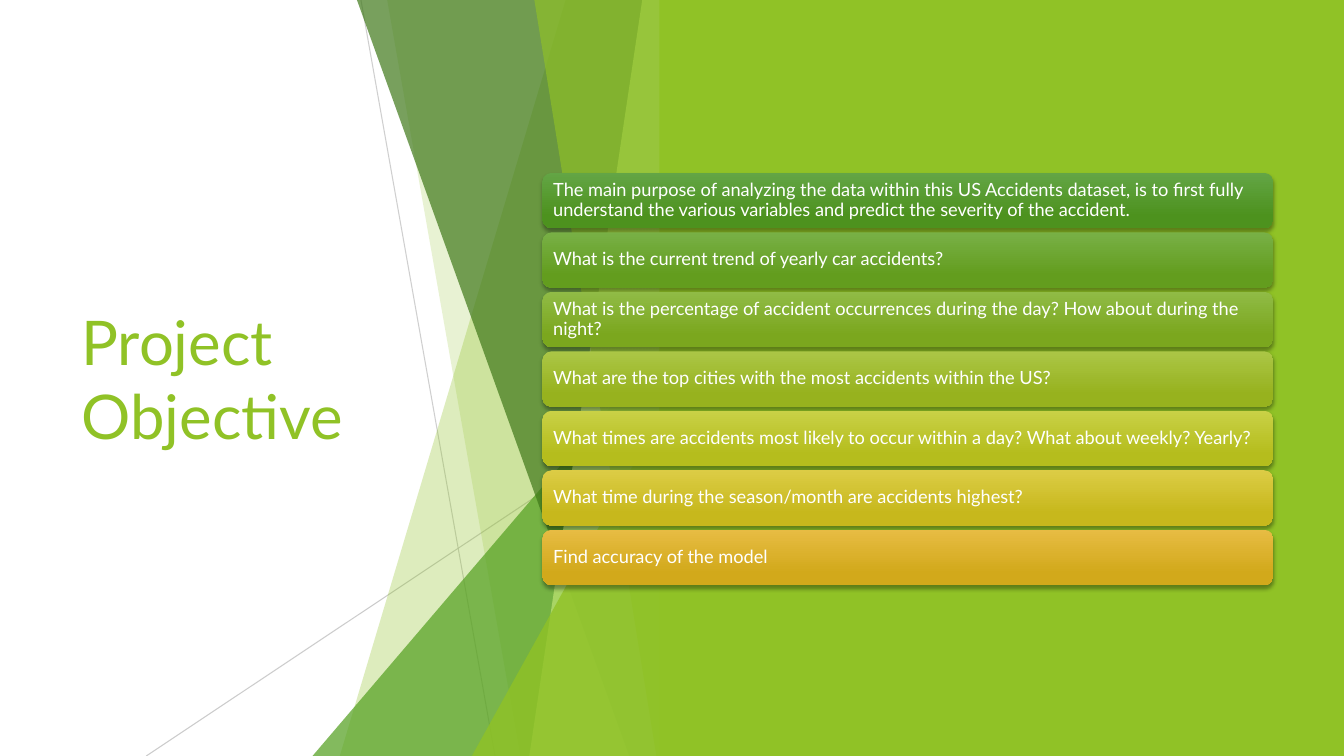
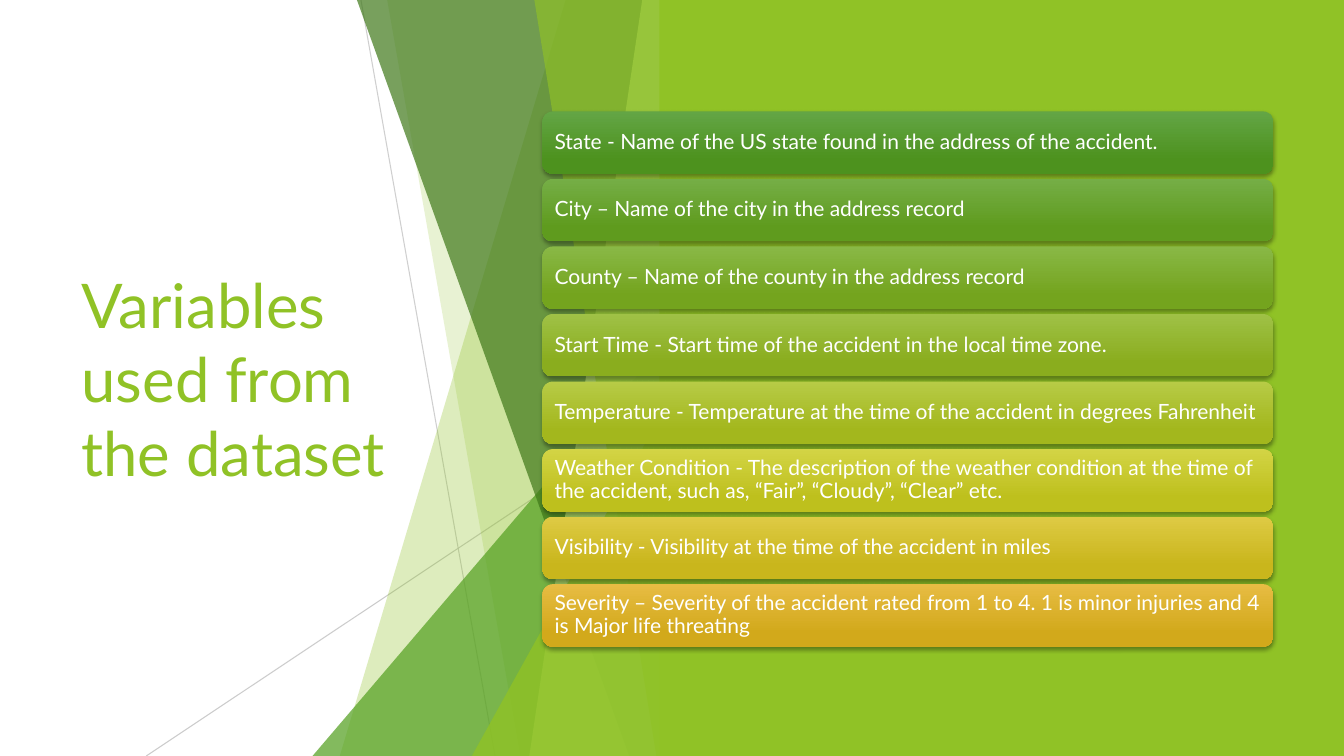
from colorsys import hsv_to_rgb, rgb_to_hsv
from dataclasses import dataclass

from lxml.etree import SubElement
from pptx import Presentation
from pptx.dml.color import RGBColor
from pptx.enum.shapes import MSO_CONNECTOR as Connector, MSO_SHAPE as Shape
from pptx.enum.text import MSO_ANCHOR as Anchor, PP_ALIGN as Align
from pptx.oxml.ns import qn
from pptx.util import Inches, Pt


@dataclass(frozen=True)
class Theme:
    font: str = "Lato"
    white: str = "FFFFFF"
    lime: str = "90C226"
    green: str = "54A021"
    forest: str = "3F7819"
    pale: str = "C0E474"
    rule: str = "BFBFBF"
    shadow: str = "000000"
    bar_tops: tuple = ("63A545", "E7BC43")
    bar_bottoms: tuple = ("4D921E", "D2A91B")
    title_size: float = 44
    rule_width: float = 0.75


WIDTH, HEIGHT = 13.33, 7.5
FACET_RIGHT = 6.66
PANEL_LEFT = 6.54
BAR_LEFT, BAR_WIDTH, BARS_MIDDLE = 5.38, 7.25, 3.76


def blend(ends, share):
    start, end = (rgb_to_hsv(*(part / 255 for part in RGBColor.from_string(color)))
                  for color in ends)
    mixed = (low + (high - low) * share for low, high in zip(start, end))
    return RGBColor(*(round(part * 255) for part in hsv_to_rgb(*mixed)))


class Deck:
    def __init__(self, theme):
        self.theme = theme
        self.presentation = Presentation()
        self.presentation.slide_width = Inches(WIDTH)
        self.presentation.slide_height = Inches(HEIGHT)
        self.slide = None

    def new_slide(self):
        blank = self.presentation.slide_layouts[6]
        self.slide = self.presentation.slides.add_slide(blank)

    def set_opacity(self, shape, percent):
        for color in shape._element.spPr.iter(qn("a:srgbClr")):
            SubElement(color, qn("a:alpha"), val=str(percent * 1000))

    def paint(self, shape, color, opacity):
        shape.shadow.inherit = False
        shape.fill.solid()
        shape.fill.fore_color.rgb = RGBColor.from_string(color)
        shape.line.fill.background()
        self.set_opacity(shape, opacity)

    def line(self, start, end, opacity):
        points = (Inches(value) for value in (*start, *end))
        line = self.slide.shapes.add_connector(Connector.STRAIGHT, *points)
        line.line.color.rgb = RGBColor.from_string(self.theme.rule)
        line.line.width = Pt(self.theme.rule_width)
        self.set_opacity(line, opacity)
        SubElement(line._element.spPr, qn("a:effectLst"))

    def facet(self, top_left, bottom_left, color, opacity):
        corners = [(top_left, 0), (FACET_RIGHT, 0),
                   (FACET_RIGHT, HEIGHT), (bottom_left, HEIGHT)]
        points = [(Inches(x), Inches(y)) for x, y in corners]
        builder = self.slide.shapes.build_freeform(*points[0])
        builder.add_line_segments(points[1:], close=True)
        self.paint(builder.convert_to_shape(), color, opacity)

    def triangle(self, left, top, color, opacity):
        shape = self.slide.shapes.add_shape(
            Shape.ISOSCELES_TRIANGLE, Inches(left), Inches(top),
            Inches(FACET_RIGHT - left), Inches(HEIGHT - top))
        shape.adjustments[0] = 1
        self.paint(shape, color, opacity)

    def panel(self):
        shape = self.slide.shapes.add_shape(
            Shape.RECTANGLE, Inches(PANEL_LEFT), Inches(0),
            Inches(WIDTH - PANEL_LEFT), Inches(HEIGHT))
        self.paint(shape, self.theme.lime, 100)

    def backdrop(self):
        theme = self.theme
        self.line((3.58, 0), (4.91, HEIGHT), 75)
        self.line((FACET_RIGHT, 4.03), (1.45, HEIGHT), 80)
        self.facet(5.61, 3.37, theme.lime, 30)
        self.facet(3.84, 5.16, theme.lime, 20)
        self.triangle(3.1, 3.33, theme.green, 72)
        self.facet(3.54, 6.24, theme.forest, 70)
        self.facet(6.37, 5.25, theme.pale, 70)
        self.facet(5.3, 6.51, theme.lime, 65)
        self.triangle(4.68, 3.93, theme.lime, 80)
        self.panel()

    def add_text(self, shape, text, size, color):
        frame = shape.text_frame
        frame.word_wrap = True
        frame.vertical_anchor = Anchor.MIDDLE
        paragraph = frame.paragraphs[0]
        paragraph.alignment = Align.LEFT
        run = paragraph.add_run()
        run.text = text
        run.font.name = self.theme.font
        run.font.size = Pt(size)
        run.font.color.rgb = RGBColor.from_string(color)
        return paragraph

    def title(self, text):
        box = self.slide.shapes.add_textbox(
            Inches(0.71), Inches(1.51), Inches(3.88), Inches(4.48))
        self.add_text(box, text, self.theme.title_size, self.theme.lime)

    def bar(self, text, top, height, size, inset, share):
        shape = self.slide.shapes.add_shape(
            Shape.ROUNDED_RECTANGLE, Inches(BAR_LEFT), Inches(top),
            Inches(BAR_WIDTH), Inches(height))
        shape.fill.gradient()
        shape.fill.gradient_angle = 270
        first, last = shape.fill.gradient_stops
        first.color.rgb = blend(self.theme.bar_tops, share)
        last.color.rgb = blend(self.theme.bar_bottoms, share)
        first.position, last.position = 0, 0.78
        shape.line.fill.background()
        self.drop_shadow(shape)
        frame = shape.text_frame
        frame.margin_left = frame.margin_right = Inches(inset)
        frame.margin_top = frame.margin_bottom = Inches(inset)
        paragraph = self.add_text(shape, text, size, self.theme.white)
        paragraph.line_spacing = 0.9

    def drop_shadow(self, shape):
        shape.shadow.inherit = False
        effects = shape._element.spPr.find(qn("a:effectLst"))
        shadow = SubElement(
            effects, qn("a:outerShdw"), blurRad=str(Pt(3)), dist=str(Pt(2)),
            dir="5400000", rotWithShape="0")
        color = SubElement(shadow, qn("a:srgbClr"), val=self.theme.shadow)
        SubElement(color, qn("a:alpha"), val="35000")

    def bars(self, texts, height, gap, size, inset):
        pitch = height + gap
        top = BARS_MIDDLE - (len(texts) * pitch - gap) / 2
        for index, text in enumerate(texts):
            share = index / (len(texts) - 1)
            self.bar(text, top + index * pitch, height, size, inset, share)

    def list_slide(self, title, texts, **bar_style):
        self.new_slide()
        self.title(title)
        self.backdrop()
        self.bars(texts, **bar_style)


OBJECTIVES = [
    "The main purpose of analyzing the data within this US Accidents dataset, "
    "is to first fully understand the various variables and predict the "
    "severity of the accident.",
    "What is the current trend of yearly car accidents?",
    "What is the percentage of accident occurrences during the day? "
    "How about during the night?",
    "What are the top cities with the most accidents within the US?",
    "What times are accidents most likely to occur within a day? "
    "What about weekly? Yearly?",
    "What time during the season/month are accidents highest?",
    "Find accuracy of the model",
]

VARIABLES = [
    "State - Name of the US state found in the address of the accident.",
    "City – Name of the city in the address record",
    "County – Name of the county in the address record",
    "Start Time - Start time of the accident in the local time zone.",
    "Temperature - Temperature at the time of the accident in degrees Fahrenheit",
    "Weather Condition - The description of the weather condition at the time "
    "of the accident, such as, “Fair”, “Cloudy”, “Clear” etc.",
    "Visibility - Visibility at the time of the accident in miles",
    "Severity – Severity of the accident rated from 1 to 4. "
    "1 is minor injuries and 4 is Major life threating",
]


def main():
    deck = Deck(Theme())
    deck.list_slide("Project Objective", OBJECTIVES,
                    height=0.55, gap=0.04, size=13, inset=0.08)
    deck.list_slide("Variables used from the dataset", VARIABLES,
                    height=0.62, gap=0.05, size=15, inset=0.09)
    deck.presentation.save("out.pptx")


if __name__ == "__main__":
    main()
